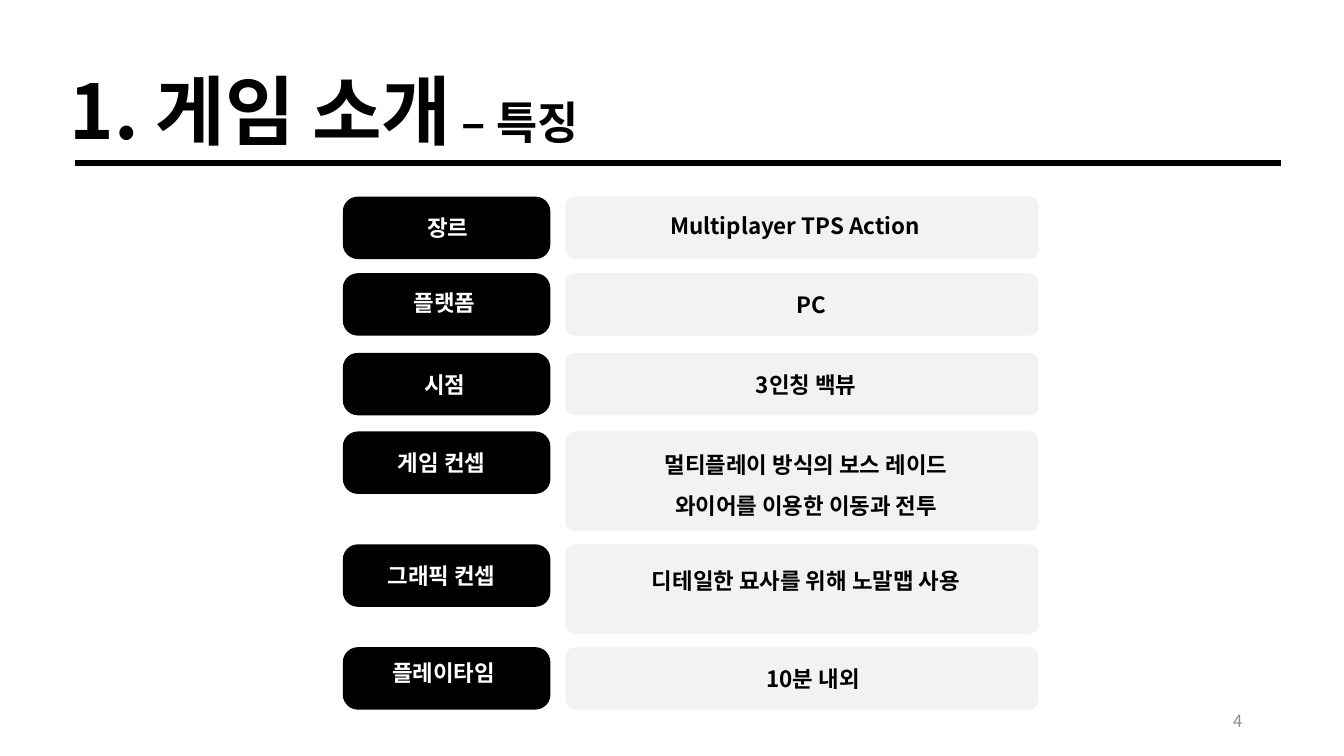
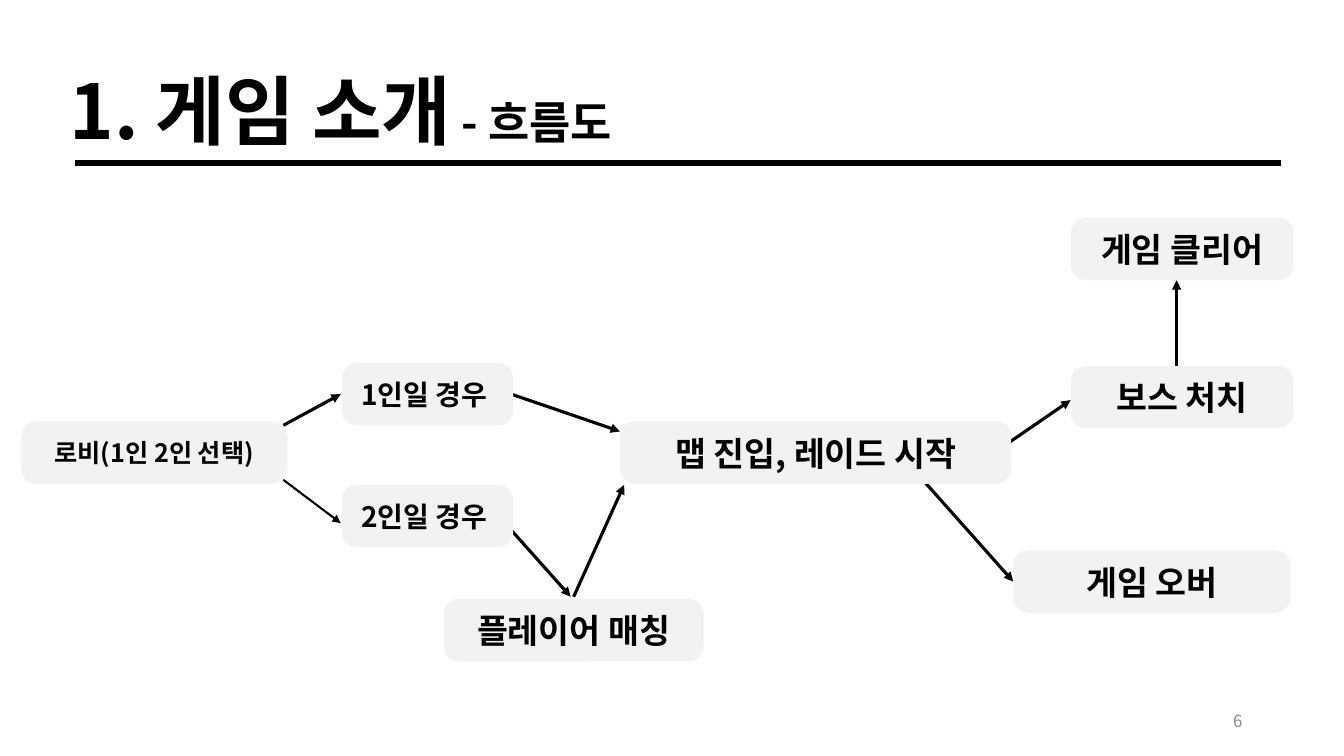
"""Build two game introduction slides: the feature list and the game flow."""
from lxml import etree
from pptx import Presentation
from pptx.dml.color import RGBColor
from pptx.enum import shapes, text
from pptx.oxml.ns import qn
from pptx.util import Pt

PX = 9144
FONT = "Noto Sans CJK KR"
BLACK = RGBColor(0x00, 0x00, 0x00)
WHITE = RGBColor(0xFF, 0xFF, 0xFF)
PALE = RGBColor(0xF2, 0xF2, 0xF2)
GREY = RGBColor(0x8C, 0x8C, 0x8C)


def style(run, size, color, bold=True):
    run.font.name = FONT
    run.font.size = Pt(size)
    run.font.bold = bold
    run.font.color.rgb = color
    etree.SubElement(run.font._element, qn("a:ea"), typeface=FONT)


def add_box(slide, wording, left, top, width, height, fill, color, size,
            radius=15, nudge=(0, 0), spacing=1.0):
    box = slide.shapes.add_shape(
        shapes.MSO_SHAPE.ROUNDED_RECTANGLE,
        left * PX, top * PX, width * PX, height * PX)
    box.adjustments[0] = radius / height
    box.shadow.inherit = False
    box.fill.solid()
    box.fill.fore_color.rgb = fill
    box.line.fill.background()
    right, down = nudge
    frame = box.text_frame
    frame.margin_left = 2 * max(right, 0) * PX
    frame.margin_right = 2 * max(-right, 0) * PX
    frame.margin_top = 2 * max(down, 0) * PX
    frame.margin_bottom = 2 * max(-down, 0) * PX
    frame.vertical_anchor = text.MSO_ANCHOR.MIDDLE
    frame.text = wording
    for paragraph in frame.paragraphs:
        paragraph.alignment = text.PP_ALIGN.CENTER
        paragraph.line_spacing = spacing
        for run in paragraph.runs:
            style(run, size, color)


deck = Presentation()
deck.slide_width = 1333 * PX
deck.slide_height = 750 * PX

pages = []
for topic, number in [(" – 특징", "4"), (" - 흐름도", "6")]:
    page = deck.slides.add_slide(deck.slide_layouts[5])
    pages.append(page)

    title = page.shapes.title
    title.left, title.top = 59 * PX, 31 * PX
    title.width, title.height = 1212 * PX, 115 * PX
    title.text_frame.auto_size = text.MSO_AUTO_SIZE.NONE
    title.text_frame.vertical_anchor = text.MSO_ANCHOR.TOP
    heading = title.text_frame.paragraphs[0]
    heading.alignment = text.PP_ALIGN.LEFT
    heading.line_spacing = 1.3
    for wording, size in [("1. 게임 소개", 54), (topic, 32)]:
        run = heading.add_run()
        run.text = wording
        style(run, size, BLACK)

    rule = page.shapes.add_connector(
        shapes.MSO_CONNECTOR.STRAIGHT, 74 * PX, 162 * PX, 1271 * PX, 162 * PX)
    rule.line.color.rgb = BLACK
    rule.line.width = Pt(4)
    etree.SubElement(rule._element.spPr, qn("a:effectLst"))

    page_number = page.shapes.add_textbox(942 * PX, 695 * PX, 300 * PX, 40 * PX)
    page_number.text_frame.word_wrap = True
    page_number.text_frame.vertical_anchor = text.MSO_ANCHOR.MIDDLE
    page_number.text_frame.text = number
    digits = page_number.text_frame.paragraphs[0]
    digits.alignment = text.PP_ALIGN.RIGHT
    style(digits.runs[0], 12, GREY, bold=False)

features, flow = pages

ROW_HEIGHT = 62
feature_rows = [
    (195, 62, "장르", (1, 0), "Multiplayer TPS Action", (-7, -2)),
    (271, 62, "플랫폼", (-2, -2), "PC", (9, 0)),
    (350, 62, "시점", (-2, 0), "3인칭 백뷰", (4, 0)),
    (428, 99, "게임 컨셉", (-5, 0),
     "멀티플레이 방식의 보스 레이드\n와이어를 이용한 이동과 전투", (4, -3)),
    (540, 89, "그래픽 컨셉", (-5, 0), "디테일한 묘사를 위해 노말맵 사용", (4, -9)),
    (642, 62, "플레이타임", (-3, -6), "10분 내외", (11, 0)),
]
for top, height, feature, feature_nudge, detail, detail_nudge in feature_rows:
    add_box(features, feature, 340, top, 206, ROW_HEIGHT, BLACK, WHITE, 16,
            nudge=feature_nudge)
    add_box(features, detail, 561, top, 469, height, PALE, BLACK, 16,
            radius=9, nudge=detail_nudge, spacing=1.5 if "\n" in detail else 1.0)

flow_arrows = [
    (281, 476, 338, 519, 1.5),
    (281, 422, 338, 391, 2.25),
    (507, 391, 615, 428, 2.25),
    (500, 518, 566, 592, 2.25),
    (569, 592, 619, 481, 2.25),
    (992, 445, 1062, 397, 2.25),
    (917, 478, 1005, 577, 2.25),
    (1167, 363, 1167, 278, 2.25),
]
for *ends, weight in flow_arrows:
    arrow = flow.shapes.add_connector(
        shapes.MSO_CONNECTOR.STRAIGHT, *[end * PX for end in ends])
    arrow.line.color.rgb = BLACK
    arrow.line.width = Pt(weight)
    etree.SubElement(arrow.line._get_or_add_ln(), qn("a:tailEnd"), type="triangle")
    etree.SubElement(arrow._element.spPr, qn("a:effectLst"))

flow_steps = [
    ("로비(1인 2인 선택)", 21, 418, 264, 18, 0),
    ("1인일 경우", 339, 360, 170, 20, -3),
    ("2인일 경우", 339, 481, 170, 20, -3),
    ("플레이어 매칭", 440, 594, 258, 24, 0),
    ("맵 진입, 레이드 시작", 615, 418, 388, 24, 0),
    ("보스 처치", 1062, 363, 221, 24, 0),
    ("게임 클리어", 1062, 216, 221, 24, 0),
    ("게임 오버", 1005, 546, 275, 24, 0),
]
for step, left, top, width, size, shift in flow_steps:
    add_box(flow, step, left, top, width, ROW_HEIGHT, PALE, BLACK, size,
            nudge=(shift, 0))

deck.save("out.pptx")
